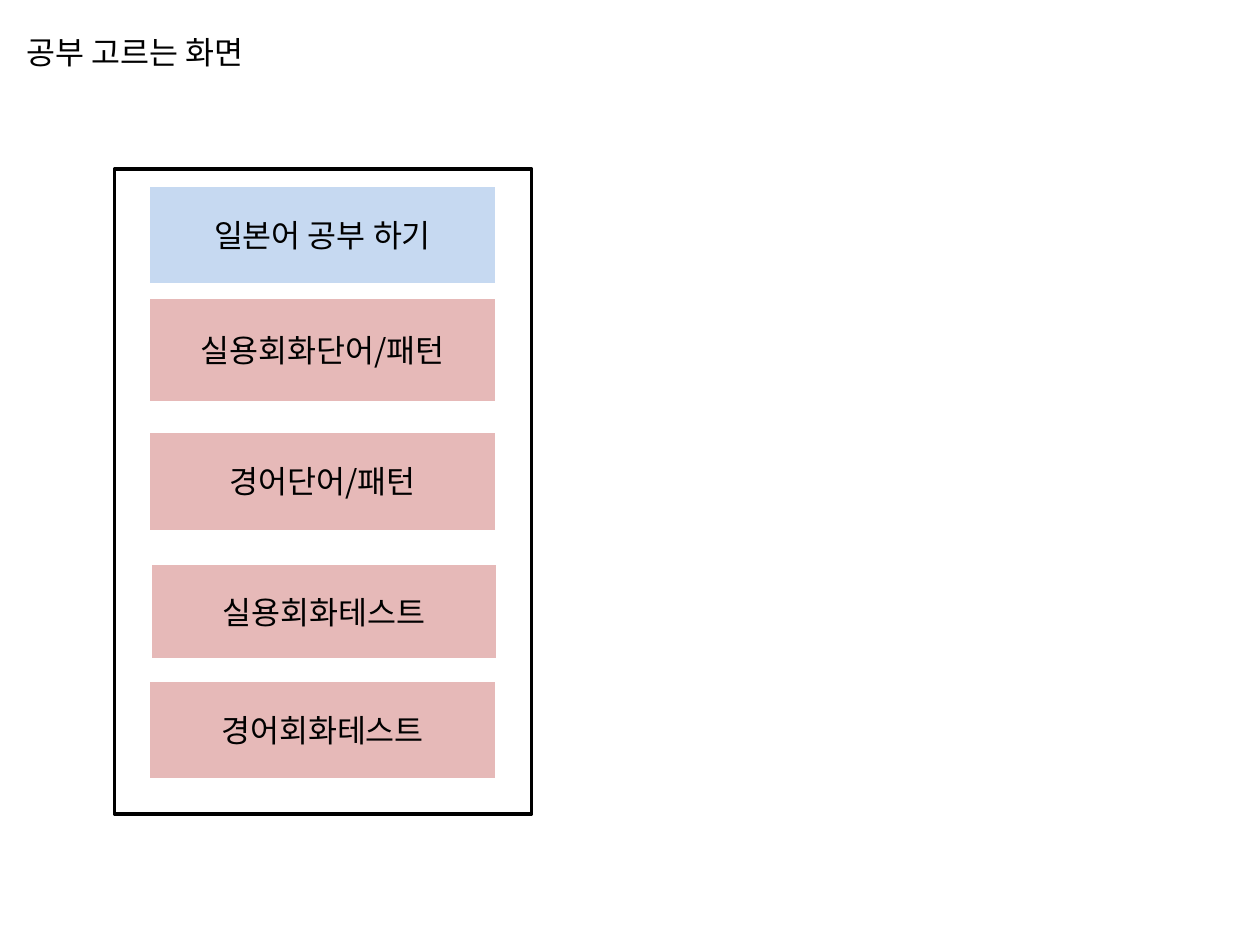
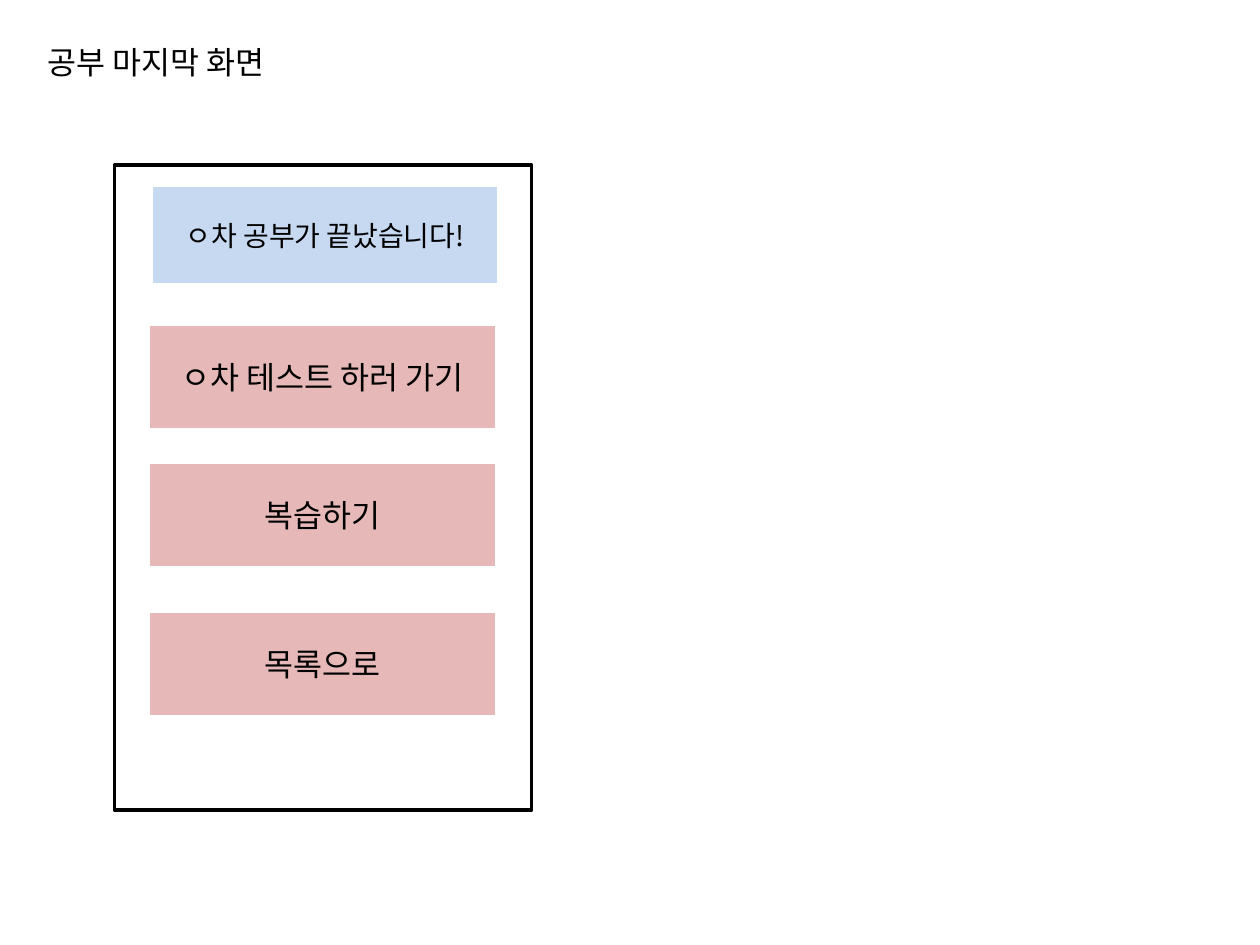
"""Builds two wireframe slides of a Japanese study app: the study menu and the end-of-study screen."""
from dataclasses import dataclass

from lxml import etree
from pptx import Presentation
from pptx.dml.color import RGBColor
from pptx.enum import shapes, text
from pptx.oxml import ns
from pptx.util import Inches, Pt

BLACK = RGBColor(0x00, 0x00, 0x00)
WHITE = RGBColor(0xFF, 0xFF, 0xFF)
HEADING_BLUE = RGBColor(0xC6, 0xD9, 0xF1)
BUTTON_PINK = RGBColor(0xE6, 0xB9, 0xB8)
FONT = "Noto Sans CJK KR"
TITLE_ONLY = 5
FRAME_LEFT, FRAME_WIDTH, FRAME_HEIGHT = 0.91, 3.31, 5.12
BUTTON_WIDTH = 2.76


@dataclass
class Button:
    label: str
    top: float
    height: float
    fill: RGBColor = BUTTON_PINK
    left: float = 1.18
    size: int = 18


@dataclass
class Screen:
    title: str
    title_left: float
    title_top: float
    frame_top: float
    buttons: list[Button]


SCREENS = [
    Screen("공부 고르는 화면", 0.11, 0.21, 1.34, [
        Button("일본어 공부 하기", 1.47, 0.79, HEADING_BLUE),
        Button("실용회화단어/패턴", 2.36, 0.84),
        Button("경어단어/패턴", 3.42, 0.8),
        Button("실용회화테스트", 4.47, 0.77, left=1.19),
        Button("경어회화테스트", 5.4, 0.79),
    ]),
    Screen("공부 마지막 화면", 0.28, 0.29, 1.31, [
        Button("ㅇ차 공부가 끝났습니다!", 1.47, 0.79, HEADING_BLUE, left=1.2, size=16),
        Button("ㅇ차 테스트 하러 가기", 2.57, 0.84),
        Button("복습하기", 3.67, 0.84),
        Button("목록으로", 4.85, 0.84),
    ]),
]


def write_text(frame, content: str, size: int, alignment, anchor) -> None:
    """Put one paragraph of black text into a text frame."""
    frame.text = content
    frame.vertical_anchor = anchor
    paragraph = frame.paragraphs[0]
    paragraph.alignment = alignment
    paragraph.font.name = FONT
    paragraph.font.size = Pt(size)
    paragraph.font.color.rgb = BLACK
    properties = paragraph._p.pPr.find(ns.qn("a:defRPr"))
    etree.SubElement(properties, ns.qn("a:ea"), typeface=FONT)


def add_box(slide, left: float, top: float, width: float, height: float,
            fill: RGBColor, line: RGBColor):
    """Add a flat rectangle with a two-point outline."""
    box = slide.shapes.add_shape(shapes.MSO_SHAPE.RECTANGLE, Inches(left), Inches(top),
                                 Inches(width), Inches(height))
    box.shadow.inherit = False
    box.fill.solid()
    box.fill.fore_color.rgb = fill
    box.line.color.rgb = line
    box.line.width = Pt(2)
    return box


def add_button(slide, button: Button) -> None:
    """Add a labelled button."""
    box = add_box(slide, button.left, button.top, BUTTON_WIDTH, button.height,
                  button.fill, WHITE)
    box.text_frame.word_wrap = True
    write_text(box.text_frame, button.label, button.size,
               text.PP_ALIGN.CENTER, text.MSO_ANCHOR.MIDDLE)


def add_title(slide, screen: Screen) -> None:
    """Move and format the title placeholder."""
    title = slide.shapes.title
    title.left, title.top = Inches(screen.title_left), Inches(screen.title_top)
    title.width, title.height = Inches(2.15), Inches(0.4)
    title.text_frame.word_wrap = False
    title.text_frame.auto_size = text.MSO_AUTO_SIZE.SHAPE_TO_FIT_TEXT
    write_text(title.text_frame, screen.title, 18, text.PP_ALIGN.LEFT, text.MSO_ANCHOR.TOP)


def add_screen(presentation, screen: Screen) -> None:
    """Add one slide with its title, phone frame and buttons."""
    slide = presentation.slides.add_slide(presentation.slide_layouts[TITLE_ONLY])
    add_title(slide, screen)
    add_box(slide, FRAME_LEFT, screen.frame_top, FRAME_WIDTH, FRAME_HEIGHT, WHITE, BLACK)
    for button in screen.buttons:
        add_button(slide, button)


def main() -> None:
    """Build and save the presentation."""
    presentation = Presentation()
    presentation.slide_width = Inches(10)
    presentation.slide_height = Inches(7.5)
    for screen in SCREENS:
        add_screen(presentation, screen)
    presentation.save("out.pptx")


main()
